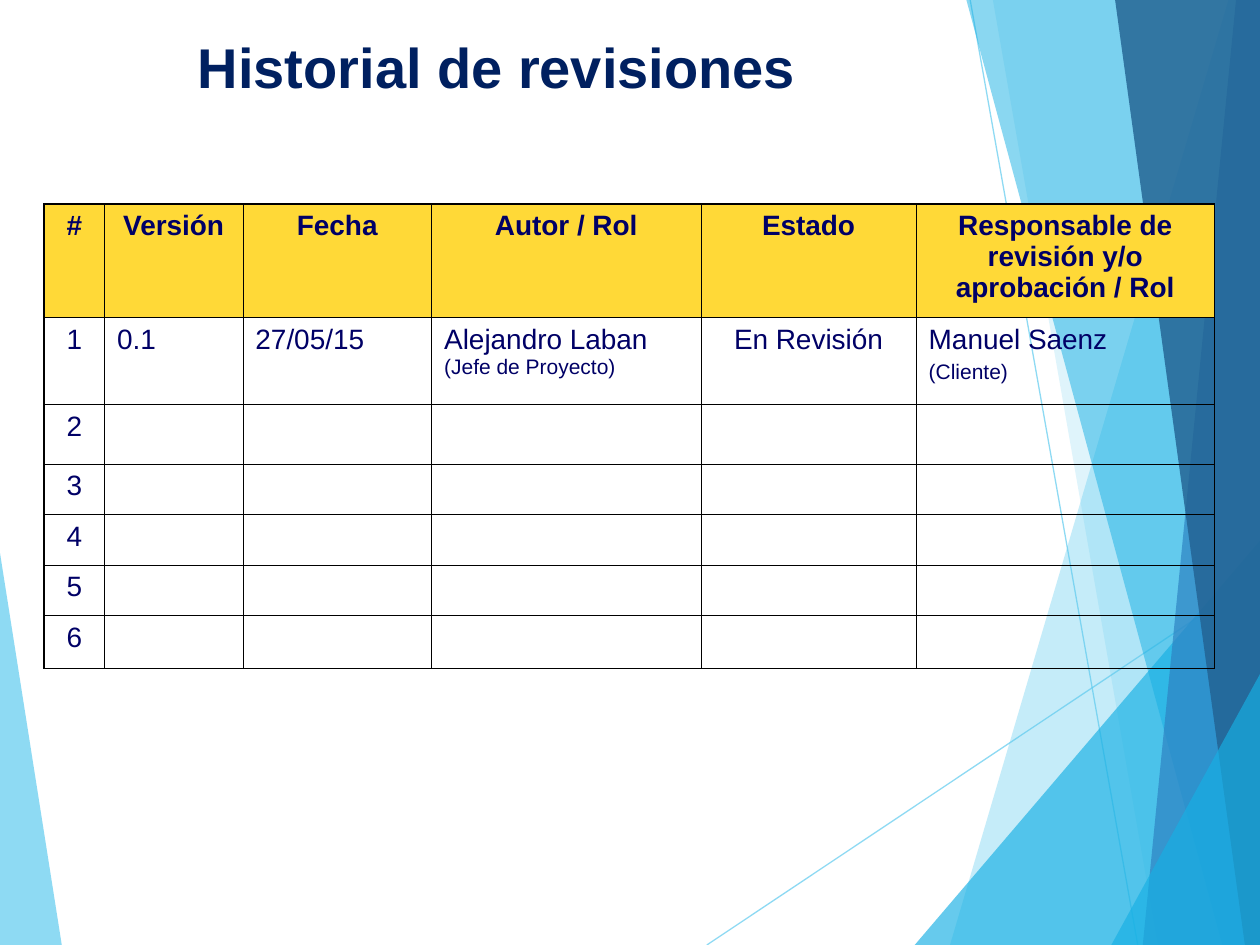
from lxml.etree import SubElement
from pptx import Presentation
from pptx.dml.color import RGBColor
from pptx.enum.shapes import MSO_CONNECTOR
from pptx.enum.text import MSO_ANCHOR, MSO_AUTO_SIZE, PP_ALIGN
from pptx.oxml.ns import qn
from pptx.util import Inches, Pt

COLORS = {
    "sky": "5FCBEF", "cyan": "17B0E4", "blue": "2E83C3", "navy": "236292",
    "title": "002060", "text": "000066", "header": "FFD937", "border": "000000",
}
FONT = "Arial"

# Points are percentages of the slide's width and height.
LEFT_SHARD = ("sky", 70, [(0, 58.53), (4.9, 100), (0, 100)])
RAYS = [((56.1, 100), (100, 60.93)), ((77, 0), (90.3, 100))]
RIGHT_SHARDS = [
    ("sky", 36, [(97.5, 0), (75.4, 100), (100, 100), (100, 0)]),
    ("sky", 20, [(78.8, 0), (91.9, 100), (100, 100), (100, 0)]),
    ("cyan", 66, [(72.6, 100), (100, 57.2), (100, 100)]),
    ("cyan", 50, [(76.7, 0), (97, 100), (100, 100), (100, 0)]),
    ("blue", 70, [(98.1, 0), (90.7, 100), (100, 100), (100, 0)]),
    ("navy", 82, [(88.5, 0), (98.8, 100), (100, 100), (100, 0)]),
    ("cyan", 66, [(88.2, 100), (100, 71.33), (100, 100)]),
]

COLUMN_SHARES = [0.48, 1.1, 1.5, 2.14, 1.71, 2.37]
ROW_SHARES = [0.9, 0.69, 0.47, 0.39, 0.39, 0.37, 0.42]
HEADINGS = ["#", "Versión", "Fecha", "Autor / Rol", "Estado",
            "Responsable de revisión y/o aprobación / Rol"]
# Each cell is a list of paragraphs, each paragraph a list of (text, size).
FIRST_REVISION = [
    [[("1", 16)]], [[("0.1", 16)]], [[("27/05/15", 16)]],
    [[("Alejandro Laban ", 16), ("(Jefe de Proyecto)", 12)]],
    [[("En Revisión", 16)]],
    [[("Manuel Saenz", 16)], [("(Cliente)", 12)]],
]
CENTERED_COLUMNS = {0, 4}


def rgb(name):
    return RGBColor.from_string(COLORS[name])


def set_opacity(element, percent):
    color = next(element.iter(qn("a:srgbClr")))
    SubElement(color, qn("a:alpha"), val=str(percent * 1000))


def style_run(run, size, color, bold=False):
    run.font.name = FONT
    run.font.size = Pt(size)
    run.font.bold = bold
    run.font.color.rgb = rgb(color)


def add_shard(slide, box, color, opacity, corners):
    left, top, width, height = box
    points = [(int(left + width * x / 100), int(top + height * y / 100))
              for x, y in corners]
    builder = slide.shapes.build_freeform(*points[0])
    builder.add_line_segments(points[1:], close=True)
    shard = builder.convert_to_shape()
    shard.shadow.inherit = False
    shard.fill.solid()
    shard.fill.fore_color.rgb = rgb(color)
    set_opacity(shard.fill._xPr, opacity)
    shard.line.fill.background()


def add_ray(slide, box, start, end):
    left, top, width, height = box
    ends = [int(value) for x, y in (start, end)
            for value in (left + width * x / 100, top + height * y / 100)]
    ray = slide.shapes.add_connector(MSO_CONNECTOR.STRAIGHT, *ends)
    ray.line.color.rgb = rgb("sky")
    ray.line.width = Pt(0.75)
    properties = ray._element.spPr
    set_opacity(properties, 70)
    SubElement(properties, qn("a:effectLst"))


def add_backdrop(slide, box):
    add_shard(slide, box, *LEFT_SHARD)
    for start, end in RAYS:
        add_ray(slide, box, start, end)
    for shard in RIGHT_SHARDS:
        add_shard(slide, box, *shard)


def place_title(slide, box):
    title = slide.shapes.title
    title.left, title.top, title.width, title.height = box
    frame = title.text_frame
    frame.text = "Historial de revisiones"
    frame.word_wrap = False
    frame.auto_size = MSO_AUTO_SIZE.SHAPE_TO_FIT_TEXT
    frame.vertical_anchor = MSO_ANCHOR.TOP
    heading = frame.paragraphs[0]
    heading.alignment = PP_ALIGN.LEFT
    style_run(heading.runs[0], 32, "title", bold=True)


def set_borders(cell, outer_sides):
    properties = cell._tc.get_or_add_tcPr()
    for side in "LRTB":
        weight = Pt(1.08) if side in outer_sides else Pt(0.45)
        border = SubElement(properties, qn(f"a:ln{side}"), w=str(int(weight)))
        fill = SubElement(border, qn("a:solidFill"))
        SubElement(fill, qn("a:srgbClr"), val=COLORS["border"])


def write_cell(cell, paragraphs, centered, bold):
    frame = cell.text_frame
    for index, pieces in enumerate(paragraphs):
        paragraph = frame.add_paragraph() if index else frame.paragraphs[0]
        if index:
            paragraph.space_before = Pt(3)
        paragraph.alignment = PP_ALIGN.CENTER if centered else PP_ALIGN.LEFT
        for text, size in pieces:
            run = paragraph.add_run()
            run.text = text
            style_run(run, size, "text", bold)


def add_revision_table(slide, box):
    width, height = box[2:]
    rows = [[[[(heading, 16)]] for heading in HEADINGS], FIRST_REVISION]
    rows += [[[[(str(number), 16)]]] + [[]] * (len(HEADINGS) - 1)
             for number in range(2, len(ROW_SHARES))]
    table = slide.shapes.add_table(len(rows), len(HEADINGS), *box).table
    table.first_row = table.horz_banding = False
    for column, share in zip(table.columns, COLUMN_SHARES):
        column.width = int(width * share / sum(COLUMN_SHARES))
    for row, share in zip(table.rows, ROW_SHARES):
        row.height = int(height * share / sum(ROW_SHARES))

    last_row, last_column = len(rows) - 1, len(HEADINGS) - 1
    for r, row in enumerate(rows):
        for c, paragraphs in enumerate(row):
            cell = table.cell(r, c)
            edges = {"T": r == 0, "B": r == last_row,
                     "L": c == 0, "R": c == last_column}
            set_borders(cell, {side for side, outer in edges.items() if outer})
            if r == 0:
                cell.fill.solid()
                cell.fill.fore_color.rgb = rgb("header")
            else:
                cell.fill.background()
            write_cell(cell, paragraphs, r == 0 or c in CENTERED_COLUMNS, r == 0)


def main():
    deck = Presentation()
    deck.slide_width, deck.slide_height = Inches(10), Inches(7.5)
    slide = deck.slides.add_slide(deck.slide_layouts[5])

    def area(left, top, width, height):
        """Turn percentages of the slide into a box."""
        return (int(deck.slide_width * left / 100),
                int(deck.slide_height * top / 100),
                int(deck.slide_width * width / 100),
                int(deck.slide_height * height / 100))

    add_backdrop(slide, area(0, 0, 100, 100))
    place_title(slide, area(14.7, 2.8, 49.5, 8.53))
    add_revision_table(slide, area(3.5, 21.6, 92.9, 48.5))
    deck.save("out.pptx")


if __name__ == "__main__":
    main()
